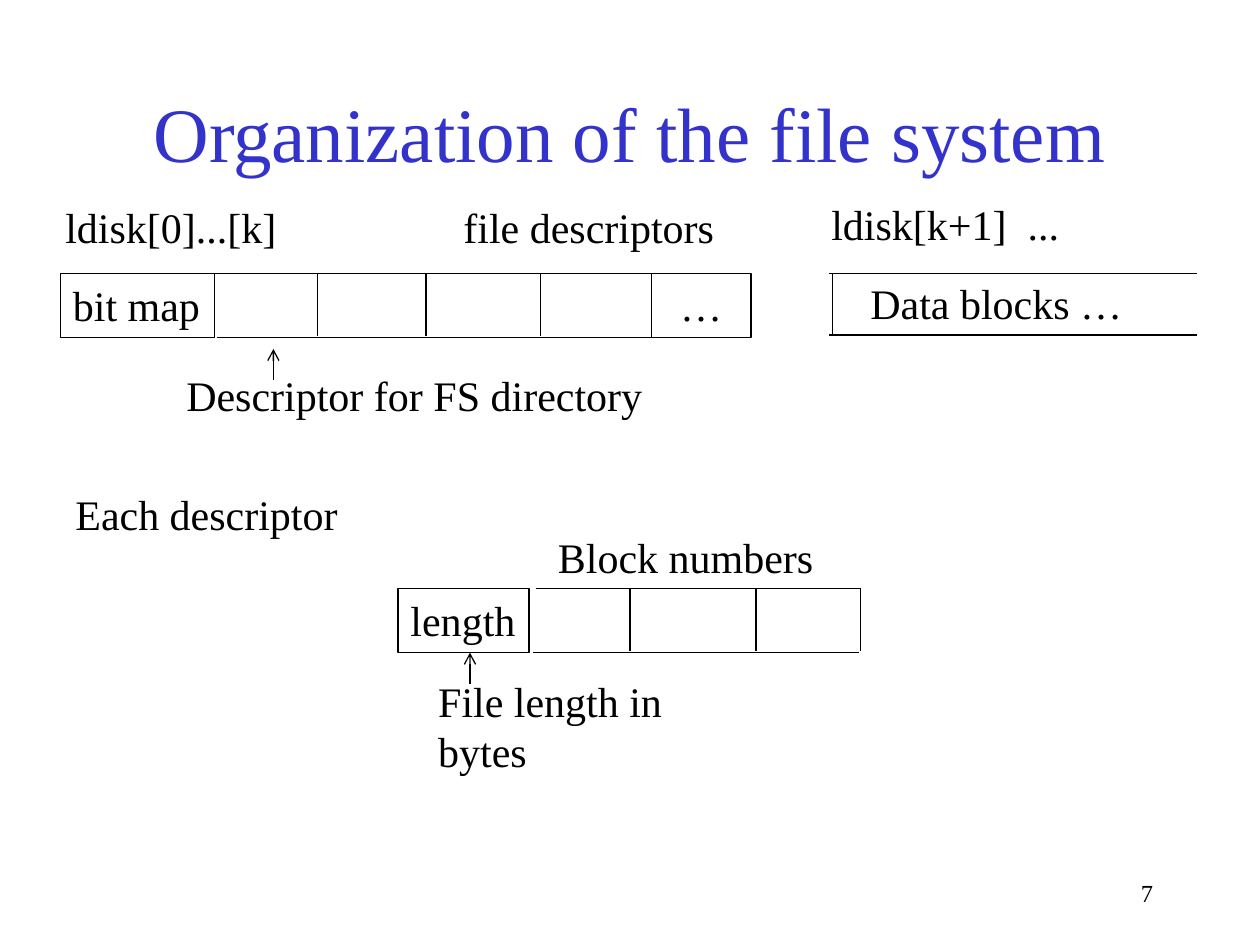
import dataclasses

import pptx
import pptx.dml.color
import pptx.enum.shapes
import pptx.enum.text
import pptx.oxml
import pptx.oxml.ns
import pptx.util

Inches = pptx.util.Inches
ALIGN = pptx.enum.text.PP_ALIGN


@dataclasses.dataclass(frozen=True)
class Theme:
    font: str = "Times New Roman"
    ink: str = "000000"
    heading: str = "3333CC"
    title_size: int = 44
    body_size: int = 24
    number_size: int = 14
    line_width: float = 0.75


@dataclasses.dataclass(frozen=True)
class Box:
    left: float
    top: float
    width: float
    height: float

    def inner(self, dx, dy, width, height):
        return Box(self.left + dx, self.top + dy, width, height)

    def lengths(self):
        return [Inches(n) for n in (self.left, self.top, self.width, self.height)]


THEME = Theme()


def rgb(value):
    return pptx.dml.color.RGBColor.from_string(value)


def write(frame, text, size=THEME.body_size, color=THEME.ink, align=ALIGN.LEFT):
    frame.text = text
    paragraph = frame.paragraphs[0]
    paragraph.alignment = align
    paragraph.font.name = THEME.font
    paragraph.font.size = pptx.util.Pt(size)
    paragraph.font.color.rgb = rgb(color)


def add_label(slide, box, text, wrap=False, **style):
    label = slide.shapes.add_textbox(*box.lengths())
    label.text_frame.word_wrap = wrap
    write(label.text_frame, text, **style)


def add_field(slide, box, text, align=ALIGN.LEFT):
    field = slide.shapes.add_shape(
        pptx.enum.shapes.MSO_SHAPE.RECTANGLE, *box.lengths())
    field.shadow.inherit = False
    field.fill.background()
    field.line.color.rgb = rgb(THEME.ink)
    field.line.width = pptx.util.Pt(THEME.line_width)
    field.text_frame.word_wrap = False
    field.text_frame.vertical_anchor = pptx.enum.text.MSO_ANCHOR.TOP
    write(field.text_frame, text, align=align)


def add_line(slide, box, x1, y1, x2, y2, arrow=False):
    line = slide.shapes.add_connector(
        pptx.enum.shapes.MSO_CONNECTOR.STRAIGHT,
        Inches(box.left + x1), Inches(box.top + y1),
        Inches(box.left + x2), Inches(box.top + y2))
    line.line.color.rgb = rgb(THEME.ink)
    line.line.width = pptx.util.Pt(THEME.line_width)
    properties = line._element.spPr
    if arrow:
        tail = pptx.oxml.parse_xml(
            f'<a:tailEnd {pptx.oxml.ns.nsdecls("a")} type="arrow"/>')
        properties.find(pptx.oxml.ns.qn("a:ln")).append(tail)
    properties.append(
        pptx.oxml.parse_xml(f'<a:effectLst {pptx.oxml.ns.nsdecls("a")}/>'))


def add_cells(slide, box, top_edge, bottom_edge, dividers):
    add_line(slide, box, top_edge[0], 0, top_edge[1], 0)
    add_line(slide, box, bottom_edge[0], box.height, bottom_edge[1], box.height)
    for x in dividers:
        add_line(slide, box, x, 0, x, 0.5)


def place_title(slide, box):
    title = slide.shapes.title
    title.left, title.top, title.width, title.height = box.lengths()
    title.text_frame.vertical_anchor = pptx.enum.text.MSO_ANCHOR.MIDDLE
    write(title.text_frame, "Organization of the file system",
          THEME.title_size, THEME.heading, ALIGN.CENTER)


def place_descriptor_table(slide, box):
    add_label(slide, box.inner(-0.06, -0.62, 1.89, 0.51), "ldisk[0]...[k]")
    add_label(slide, box.inner(3.1, -0.62, 2.19, 0.5), "file descriptors")
    add_field(slide, box.inner(0, 0, 1.22, box.height), "bit map")
    add_cells(slide, box, (1.21, 4.71), (1.24, 4.74), (2.04, 2.9, 3.81))
    add_field(slide, box.inner(4.69, 0, 0.79, box.height), "…", ALIGN.CENTER)
    add_line(slide, box, 1.69, 0.85, 1.69, 0.6, arrow=True)
    add_label(slide, box.inner(0.9, 0.71, 3.82, 0.5), "Descriptor for FS directory")


def place_data_blocks(slide, box):
    add_label(slide, box.inner(-0.08, -0.64, 2.03, 0.51), "ldisk[k+1]  ...")
    edges = (0, box.width)
    add_cells(slide, box, edges, edges, (0.03,))
    add_label(slide, box.inner(0.23, -0.02, 2.2, 0.5), "Data blocks …")


def place_descriptor_layout(slide, box):
    add_label(slide, box.inner(-2.66, -0.84, 2.28, 0.5), "Each descriptor")
    add_label(slide, box.inner(1.17, -0.5, 2.23, 0.5), "Block numbers")
    add_field(slide, box.inner(0, 0, 1.04, box.height), "length")
    add_cells(slide, box, (1.09, 3.67), (1.07, 3.66), (1.84, 2.84, 3.67))
    add_line(slide, box, 0.57, 0.76, 0.57, 0.51, arrow=True)
    add_label(slide, box.inner(0.22, 0.64, 2.76, 0.5), "File length in bytes")


def place_page_number(slide, box):
    add_label(slide, box, "7", wrap=True, size=THEME.number_size, align=ALIGN.RIGHT)


def main():
    deck = pptx.Presentation()
    deck.slide_width, deck.slide_height = Inches(10), Inches(7.5)
    slide = deck.slides.add_slide(deck.slide_layouts[5])
    place_title(slide, Box(0.75, 0.67, 8.5, 0.75))
    place_descriptor_table(slide, Box(0.48, 2.17, 5.48, 0.51))
    place_data_blocks(slide, Box(6.58, 2.17, 2.92, 0.49))
    place_descriptor_layout(slide, Box(3.16, 4.67, 3.67, 0.51))
    place_page_number(slide, Box(7.17, 6.92, 2.08, 0.42))
    deck.save("out.pptx")


if __name__ == "__main__":
    main()
